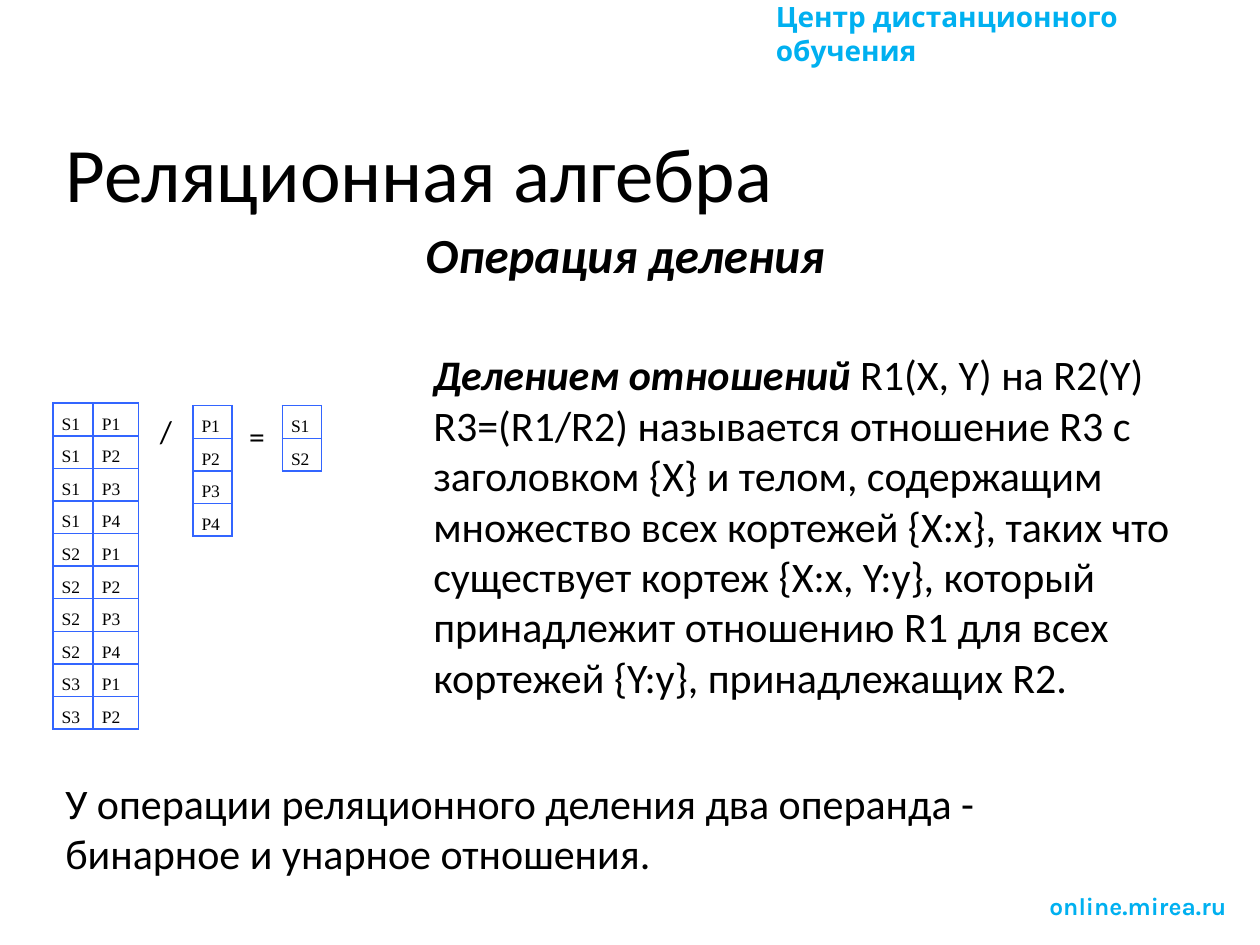
from dataclasses import dataclass
from lxml.etree import SubElement
from pptx import Presentation
from pptx.dml.color import RGBColor
from pptx.enum.text import MSO_ANCHOR, PP_ALIGN
from pptx.oxml import parse_xml
from pptx.oxml.ns import nsdecls
from pptx.util import Inches, Pt


@dataclass(frozen=True)
class Theme:
    """Colours, fonts and type sizes of the slide."""
    ink: str = "000000"
    brand: str = "00B0F0"
    grid: str = "3365FF"
    main: str = "Calibri"
    label: str = "Karla"
    serif: str = "Times New Roman"
    title: int = 44
    head: int = 28
    body: int = 24
    sign: int = 18
    top: int = 16
    foot: int = 14
    cell: int = 10


THEME = Theme()


def style(run, size, face=THEME.main, color=THEME.ink, bold=False, slant=False):
    """Set the font of one run."""
    font = run.font
    font.name, font.size = face, Pt(size)
    font.bold, font.italic = bold, slant
    font.color.rgb = RGBColor.from_string(color)


def add_text(slide, box, text, size, wrap=True, **look):
    """Add a one-paragraph text box and return its frame."""
    frame = slide.shapes.add_textbox(*map(Inches, box)).text_frame
    frame.word_wrap = wrap
    frame.text = text
    style(frame.paragraphs[0].runs[0], size, **look)
    return frame


def add_edges(cell):
    """Draw a thin line on all four sides of a cell."""
    props = cell._tc.get_or_add_tcPr()
    for spot, side in enumerate("LRTB"):
        line = parse_xml(f'<a:ln{side} {nsdecls("a")} w="{Pt(1)}"/>')
        fill = SubElement(line, line.tag.replace(f"ln{side}", "solidFill"))
        SubElement(fill, line.tag.replace(f"ln{side}", "srgbClr"), val=THEME.grid)
        props.insert(spot, line)


def fill_cell(cell, text):
    """Write and format one cell of a relation."""
    cell.fill.background()
    cell.margin_left = cell.margin_right = Inches(0.07)
    cell.margin_top, cell.margin_bottom = Inches(0.08), 0
    cell.text = text
    para = cell.text_frame.paragraphs[0]
    para.alignment, para.line_spacing = PP_ALIGN.JUSTIFY, 1.07
    style(para.runs[0], THEME.cell, THEME.serif)
    add_edges(cell)


def add_relation(slide, left, top, widths, rows):
    """Add a relation as a plain table."""
    high = 0.256
    table = slide.shapes.add_table(
        len(rows), len(widths), Inches(left), Inches(top),
        Inches(sum(widths)), Inches(high * len(rows))).table
    table.first_row = table.horz_banding = False
    for col, width in zip(table.columns, widths):
        col.width = Inches(width)
    for line, row in zip(table.rows, rows):
        line.height = Inches(high)
        for cell, text in zip(line.cells, row):
            fill_cell(cell, text)


def add_division(slide, left, top):
    """Show dividend, divisor and quotient side by side."""
    parts = [f"P{n}" for n in range(1, 5)]
    pairs = [(f"S{s}", part) for s in (1, 2, 3) for part in parts][:10]
    add_relation(slide, left, top, [0.32, 0.36], pairs)
    add_text(slide, (left + 0.75, top + 0.02, 0.3, 0.4), "/", THEME.sign, wrap=False)
    add_relation(slide, left + 1.11, top + 0.02, [0.31], [[part] for part in parts])
    add_text(slide, (left + 1.46, top + 0.06, 0.33, 0.4), "=", THEME.sign, wrap=False)
    add_relation(slide, left + 1.82, top + 0.02, [0.31], [["S1"], ["S2"]])


def add_frame(slide):
    """Add the centre name at the top and the address at the bottom."""
    look = dict(face=THEME.label, color=THEME.brand, bold=True)
    add_text(slide, (6.06, -0.05, 3.94, 0.37), "Центр дистанционного обучения",
             THEME.top, **look)
    add_text(slide, (8.23, 7.02, 1.61, 0.34), "online.mirea.ru", THEME.foot, **look)


def add_heads(slide, left, top):
    """Add the title and the centred heading below it."""
    title = add_text(slide, (left, top, 5.83, 0.72), "Реляционная алгебра", THEME.title)
    title.vertical_anchor = MSO_ANCHOR.BOTTOM
    title.paragraphs[0].line_spacing = 0.9
    head = add_text(slide, (left - 0.24, top + 0.66, 9.65, 0.57), "Операция деления ",
                    THEME.head, bold=True, slant=True)
    head.paragraphs[0].alignment = PP_ALIGN.CENTER


def add_meaning(slide, box):
    """Add the definition with its term set off."""
    frame = add_text(slide, box, "Делением отношений ", THEME.body, bold=True, slant=True)
    run = frame.paragraphs[0].add_run()
    run.text = (
        "R1(Х, Y) на R2(Y) R3=(R1/R2) называется отношение R3 с заголовком {X} "
        "и телом, содержащим множество всех кортежей {X:x}, таких что существует "
        "кортеж {X:x, Y:y}, который принадлежит отношению R1 для всех кортежей "
        "{Y:y}, принадлежащих R2.")
    style(run, THEME.body)


def main():
    """Build the slide and save it."""
    deck = Presentation()
    deck.slide_width, deck.slide_height = Inches(10), Inches(7.5)
    slide = deck.slides.add_slide(deck.slide_layouts[6])
    add_frame(slide)
    add_heads(slide, 0.42, 1.07)
    add_meaning(slide, (3.34, 2.72, 6.31, 2.93))
    add_division(slide, 0.42, 3.2)
    add_text(slide, (0.42, 6.12, 8.63, 0.91),
             "У операции реляционного деления два операнда - "
             "бинарное и унарное отношения.", THEME.body)
    deck.save("out.pptx")


if __name__ == "__main__":
    main()
